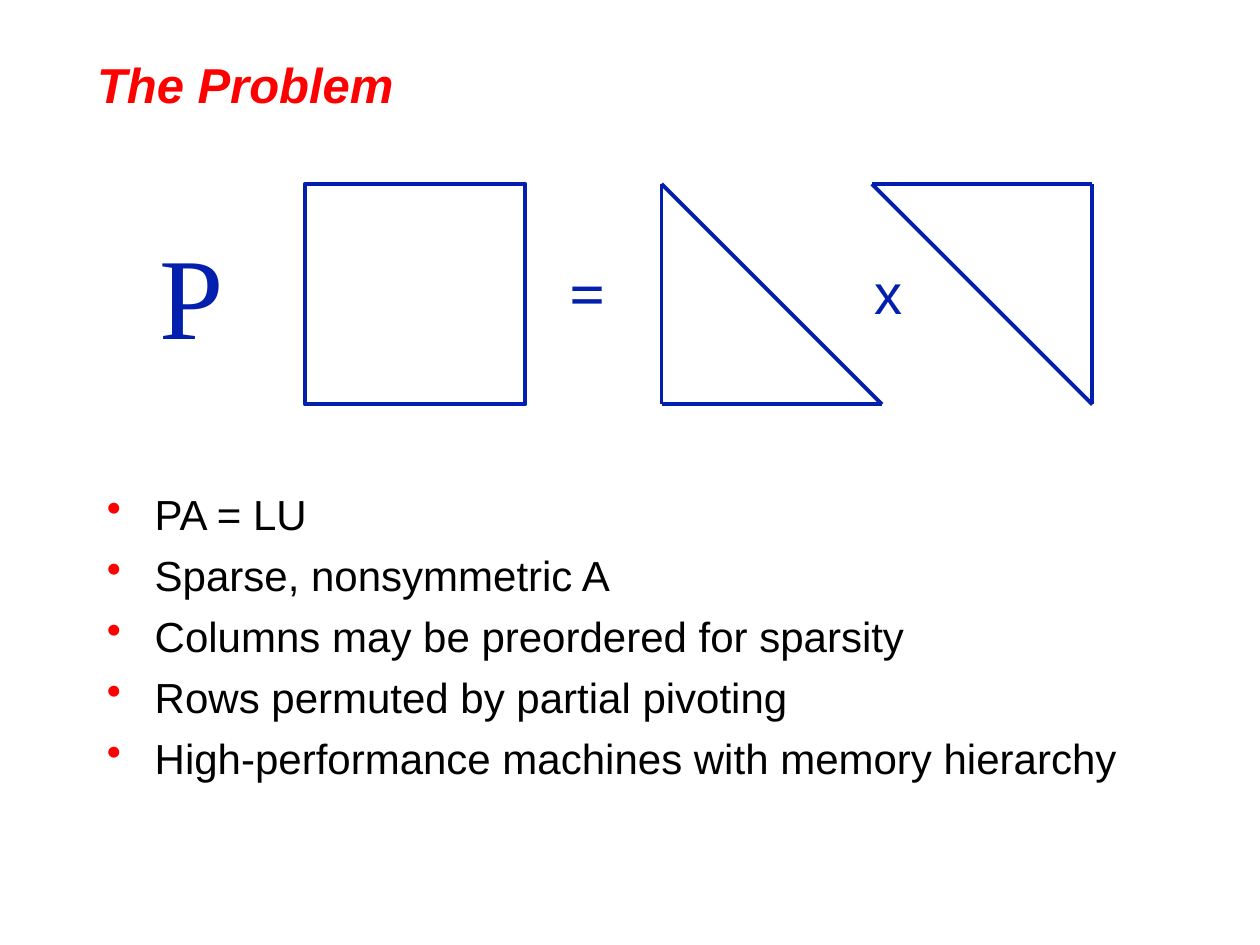
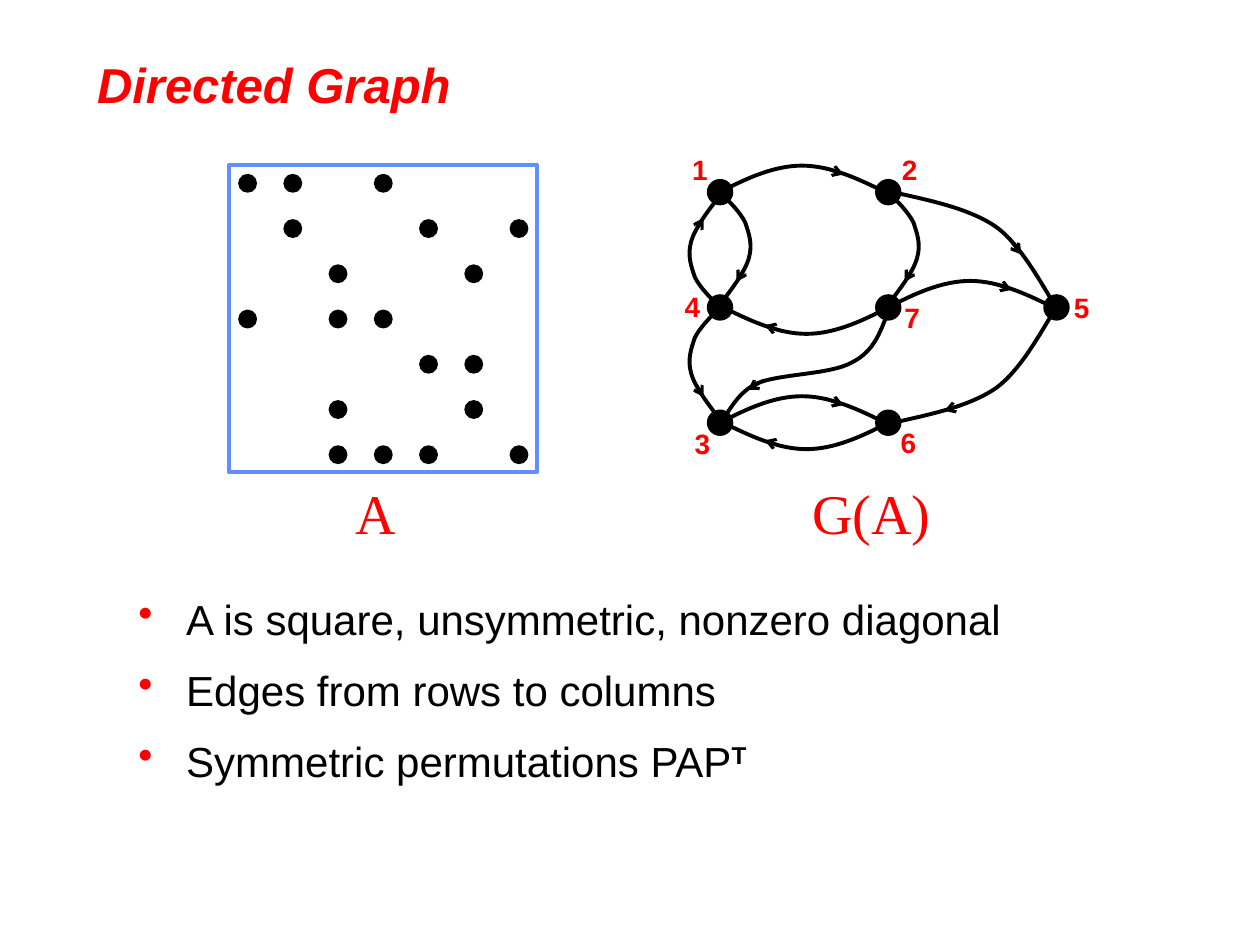
import pptx
import pptx.dml.color
import pptx.enum.shapes
import pptx.enum.text
import pptx.oxml.ns
import pptx.util
from lxml import etree

INK = {"red": "FF0000", "blue": "021FAE", "sky": "618FFD", "black": "000000"}
SANS, SERIF = "Arial", "Times New Roman"
WIDE, HIGH = pptx.util.Inches(10), pptx.util.Inches(7.5)
COL, ROW = WIDE / 10, HIGH / 7.5
THICK, THIN = 2.24, 1.76
KIND = pptx.enum.shapes.MSO_SHAPE
FIT = pptx.enum.text.MSO_AUTO_SIZE
qn = pptx.oxml.ns.qn

CELLS = ["xx.x...", ".x..x.x", "..x..x.", "x.xx...",
         "....xx.", "..x..x.", "..xxx.x"]

# number: column, row, label offset from the node's centre
NODES = {
    1: (0, 0, -0.32, -0.36), 2: (1, 0, 0.01, -0.36),
    3: (0, 2, -0.3, -0.02), 4: (0, 1, -0.38, -0.19),
    5: (2, 1, 0.04, -0.18), 6: (1, 2, 0, -0.03),
    7: (1, 1, 0.03, -0.1),
}

LONG = [(-0.08, 0.11), (-0.26, 0.48), (-0.48, 0.64),
        (-0.7, 0.79), (-1.01, 0.85), (-1.32, 0.92)]
CURVES = {
    "bow": ([(0.21, -0.11), (0.43, -0.21), (0.65, -0.21),
             (0.88, -0.21), (1.11, -0.1), (1.35, 0.02)],
            [(0.84, -0.19), (0.98, -0.14)]),
    "side": ([(0.08, 0.08), (0.16, 0.16), (0.2, 0.24),
              (0.23, 0.33), (0.26, 0.41), (0.23, 0.52),
              (0.2, 0.63), (0.1, 0.76), (0, 0.89)],
             [(0.21, 0.58), (0.13, 0.71)]),
    "wave": ([(0.05, -0.04), (0.12, -0.23), (0.29, -0.31),
              (0.47, -0.39), (0.88, -0.38), (1.05, -0.48),
              (1.23, -0.57), (1.28, -0.74), (1.34, -0.9)],
             [(0.35, -0.34), (0.22, -0.26)]),
    "out": (LONG, [(-0.74, 0.77), (-0.89, 0.82)]),
    "in": (LONG, [(-0.37, 0.54), (-0.28, 0.42)]),
}
EDGES = [
    (1, "bow", 1, 1), (7, "bow", 1, 1), (3, "bow", 1, 1),
    (6, "bow", -1, -1), (7, "bow", -1, -1),
    (4, "side", -1, -1), (4, "side", -1, 1),
    (1, "side", 1, 1), (2, "side", 1, 1),
    (3, "wave", 1, 1), (5, "out", 1, 1), (5, "in", 1, -1),
]


def spot(x, y):
    return round(x * COL), round(y * ROW)


def tint(name):
    return pptx.dml.color.RGBColor.from_string(INK[name])


def style(font, size, name, ink, bold=False, slant=False):
    font.size = pptx.util.Pt(size)
    font.name = name
    font.color.rgb = tint(ink)
    font.bold = bold
    font.italic = slant


def stroke(item, ink, width):
    item.line.color.rgb = tint(ink)
    item.line.width = pptx.util.Pt(width)


def title(deck, text):
    page = deck.slides.add_slide(deck.slide_layouts[5])
    head = page.shapes.title
    head.left, head.top = spot(0.67, 0.33)
    head.width, head.height = spot(8.19, 0.67)
    frame = head.text_frame
    frame.text = text
    frame.auto_size = FIT.NONE
    frame.vertical_anchor = pptx.enum.text.MSO_ANCHOR.MIDDLE
    para = frame.paragraphs[0]
    para.alignment = pptx.enum.text.PP_ALIGN.LEFT
    style(para.font, 28, SANS, "red", True, True)
    return page


def label(shapes, text, box, size, name, ink, bold=False):
    frame = shapes.add_textbox(*spot(*box[:2]), *spot(*box[2:])).text_frame
    frame.word_wrap = False
    frame.auto_size = FIT.SHAPE_TO_FIT_TEXT
    frame.text = text
    style(frame.paragraphs[0].font, size, name, ink, bold)


def dot(para):
    props = para._p.get_or_add_pPr()
    inset = pptx.util.Inches(0.38)
    props.set("marL", str(inset))
    props.set("indent", str(-inset))
    shade = etree.SubElement(props, qn("a:buClr"))
    etree.SubElement(shade, qn("a:srgbClr")).set("val", INK["red"])
    etree.SubElement(props, qn("a:buChar")).set("char", "•")


def points(page, box, lines, space=1):
    frame = page.shapes.add_textbox(*spot(*box[:2]), *spot(*box[2:])).text_frame
    frame.word_wrap = True
    for place, text in enumerate(lines):
        para = frame.add_paragraph() if place else frame.paragraphs[0]
        para.add_run().text = text
        para.space_before = pptx.util.Pt(6)
        para.line_spacing = space
        dot(para)
        style(para.font, 24, SANS, "black")
    return frame


def square(shapes, x, y, side, ink):
    item = shapes.add_shape(KIND.RECTANGLE, *spot(x, y), *spot(side, side))
    item.shadow.inherit = False
    item.fill.background()
    stroke(item, ink, THICK)


def disc(shapes, x, y, size):
    item = shapes.add_shape(
        KIND.OVAL, *spot(x - size / 2, y - size / 2), *spot(size, size))
    item.shadow.inherit = False
    item.fill.solid()
    item.fill.fore_color.rgb = tint("black")
    item.line.fill.background()


def line(shapes, start, end, ink, width, arrow=False):
    item = shapes.add_connector(
        pptx.enum.shapes.MSO_CONNECTOR.STRAIGHT, *spot(*start), *spot(*end))
    stroke(item, ink, width)
    if arrow:
        tip = etree.SubElement(item.line._get_or_add_ln(), qn("a:tailEnd"))
        tip.set("type", "arrow")
    etree.SubElement(item._element.spPr, qn("a:effectLst"))


def wedge(shapes, *corners):
    group = shapes.add_group_shape().shapes
    for start, end in zip(corners, corners[1:] + corners[:1]):
        line(group, start, end, "blue", THICK)


def curve(shapes, start, marks):
    pen = shapes.build_freeform(*spot(*start))
    pen.add_line_segments([spot(*mark) for mark in marks], close=False)
    item = pen.convert_to_shape()
    item.shadow.inherit = False
    item.fill.background()
    stroke(item, "black", THICK)
    parts = list(item._element.iter(qn("a:lnTo")))
    track = parts[0].getparent()
    for first in range(0, len(parts), 3):
        bend = etree.SubElement(track, qn("a:cubicBezTo"))
        for part in parts[first:first + 3]:
            bend.append(part[0])
            track.remove(part)


def matrix(page):
    shapes = page.shapes.add_group_shape().shapes
    square(shapes, 1.82, 1.31, 2.44, "sky")
    for row, marks in enumerate(CELLS):
        for col, mark in enumerate(marks):
            if mark == "x":
                disc(shapes, 1.965 + 0.359 * col, 1.455 + 0.359 * row, 0.15)


def graph(page):
    shapes = page.shapes.add_group_shape().shapes
    hubs = {}
    for key, (col, row, dx, dy) in NODES.items():
        x, y = hubs[key] = 5.715 + 1.335 * col, 1.525 + 0.915 * row
        disc(shapes, x, y, 0.21)
        label(shapes, str(key), (x + dx, y + dy, 0.32, 0.37),
              16, SANS, "red", True)
    for key, name, flipx, flipy in EDGES:
        x, y = hubs[key]
        bend, head = [[(x + flipx * dx, y + flipy * dy) for dx, dy in part]
                      for part in CURVES[name]]
        curve(shapes, (x, y), bend)
        line(shapes, *head, "black", THIN, True)


def problem(deck):
    page = title(deck, "The Problem")
    points(page, (0.75, 3.83, 9, 2.83), [
        "PA = LU",
        "Sparse, nonsymmetric A",
        "Columns may be preordered for sparsity",
        "Rows permuted by partial pivoting",
        "High-performance machines with memory hierarchy",
    ])
    shapes, top, side = page.shapes, 1.46, 1.75
    low = top + side
    square(shapes, 2.42, top, side, "blue")
    wedge(shapes, (5.25, top), (5.25, low), (5.25 + side, low))
    wedge(shapes, (8.67, low), (8.67, top), (8.67 - side, top))
    label(shapes, "=", (4.42, 1.96, 0.48, 0.7), 36, SERIF, "blue", True)
    label(shapes, "x", (6.84, 2, 0.42, 0.64), 32, SANS, "blue")
    label(shapes, "P", (1.17, 1.73, 0.71, 1.2), 66, SERIF, "blue")


def directed(deck):
    page = title(deck, "Directed Graph")
    frame = points(page, (1, 4.58, 8, 2.08), [
        "A is square, unsymmetric, nonzero diagonal",
        "Edges from rows to columns",
        "Symmetric permutations PAP",
    ], 1.2)
    power = frame.paragraphs[-1].add_run()
    power.text = "T"
    power.font.bold = True
    power._r.get_or_add_rPr().set("baseline", "30000")
    matrix(page)
    graph(page)
    label(page.shapes, "A", (2.72, 3.75, 0.52, 0.64), 32, SERIF, "red")
    label(page.shapes, "G(A)", (6.35, 3.75, 1.14, 0.64), 32, SERIF, "red")


def main():
    deck = pptx.Presentation()
    deck.slide_width, deck.slide_height = WIDE, HIGH
    problem(deck)
    directed(deck)
    deck.save("out.pptx")


main()
